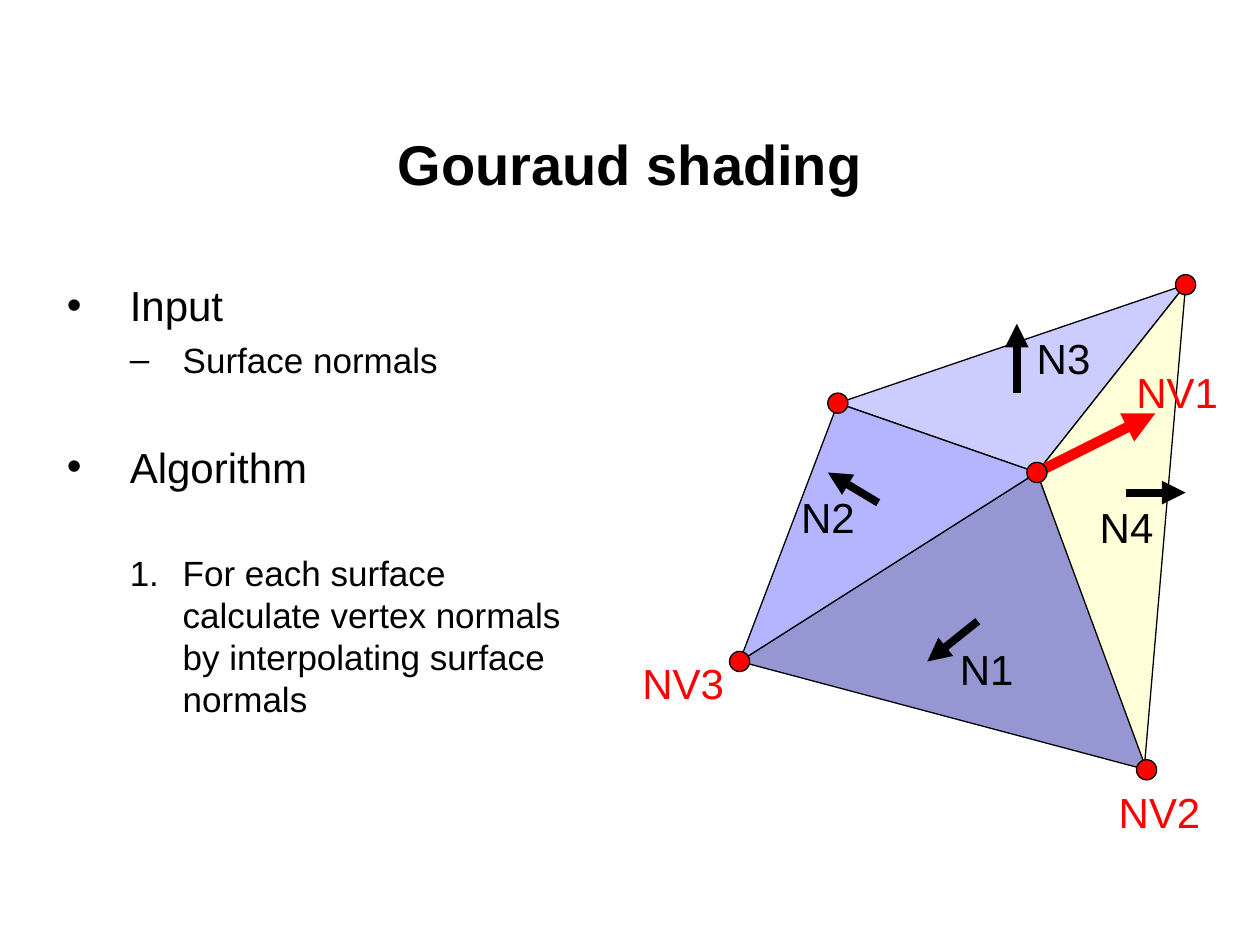
from lxml import etree
from pptx import Presentation
from pptx.dml.color import RGBColor
from pptx.enum.shapes import MSO_CONNECTOR as Line, MSO_SHAPE as Shape
from pptx.enum.text import MSO_ANCHOR as Anchor, MSO_AUTO_SIZE as Fit, PP_ALIGN as Align
from pptx.oxml.ns import qn
from pptx.util import Inches, Pt

BLACK, RED = "000000", "FF0000"
HUB, LEFT, TOP, LOW, FAR = (8.23, 3.75), (6.65, 3.2), (9.41, 2.26), (9.1, 6.11), (5.87, 5.25)
DOT = 0.16
FACES = [
    ("CCCCFF", (LEFT, TOP, HUB)),
    ("FFFFD9", (HUB, TOP, (9.08, 6.12))),
    ("9696D2", (HUB, LOW, FAR)),
    ("B4B4FF", (FAR, HUB, LEFT)),
]
NORMALS = [
    ("N1", (7.52, 5.06), (7.76, 4.93), (7.36, 5.25)),
    ("N2", (6.26, 3.85), (6.97, 3.99), (6.57, 3.75)),
    ("N3", (8.13, 2.59), (8.07, 3.12), (8.07, 2.57)),
    ("N4", (8.63, 3.93), (8.94, 3.91), (9.41, 3.91)),
]
CORNERS = [
    ("NV1", (8.92, 2.86), HUB),
    ("NV2", (8.78, 6.19), LOW),
    ("NV3", (5, 5.17), FAR),
]
ITEMS = [
    ("Input", 0, 0, "•"),
    ("Surface normals", 1, 5, "–"),
    ("Algorithm", 0, 34.5, "•"),
    ("For each surface calculate vertex normals by interpolating surface normals", 1, 34, None),
]


def color(code):
    """Turn a hex string into a colour."""
    return RGBColor.from_string(code)


def style(para, size, code=BLACK, bold=False):
    """Format the runs of a paragraph."""
    for run in para.runs:
        font = run.font
        font.name, font.size, font.bold = "Arial", Pt(size), bold
        font.color.rgb = color(code)


def place(shape, left, top, width, height):
    """Move and size a shape."""
    shape.left, shape.top = Inches(left), Inches(top)
    shape.width, shape.height = Inches(width), Inches(height)


def paint(shape, fill):
    """Fill a shape and give it a thin black outline."""
    shape.shadow.inherit = False
    shape.fill.solid()
    shape.fill.fore_color.rgb = color(fill)
    shape.line.color.rgb = color(BLACK)
    shape.line.width = Pt(0.75)


def add_title(slide, text):
    """Fill the title placeholder."""
    title = slide.shapes.title
    place(title, 0.75, 0.67, 8.5, 1.25)
    frame = title.text_frame
    frame.text = text
    frame.auto_size, frame.vertical_anchor = Fit.NONE, Anchor.MIDDLE
    para = frame.paragraphs[0]
    para.alignment = Align.CENTER
    style(para, 32, bold=True)


def add_list(slide, items):
    """Fill the body placeholder with bulleted and numbered items."""
    body = slide.placeholders[1]
    place(body, 0.43, 2.17, 4.33, 4.5)
    frame = body.text_frame
    frame.text = "\n".join(item[0] for item in items)
    frame.auto_size = Fit.NONE
    for para, (_, level, gap, mark) in zip(frame.paragraphs, items):
        para.level, para.space_before = level, Pt(gap)
        props = para._p.get_or_add_pPr()
        margin, hang = ((0.5, 0.5), (0.92, 0.42))[level]
        props.set("marL", str(Inches(margin)))
        props.set("indent", str(-Inches(hang)))
        if mark:
            etree.SubElement(props, qn("a:buChar"), char=mark)
        else:
            etree.SubElement(props, qn("a:buAutoNum"), type="arabicPeriod")
        style(para, (24, 20)[level])


def add_face(shapes, fill, points):
    """Draw one filled triangle."""
    first, *rest = [(Inches(x), Inches(y)) for x, y in points]
    path = shapes.build_freeform(*first)
    path.add_line_segments(rest, close=True)
    paint(path.convert_to_shape(), fill)


def add_arrow(shapes, start, end, code, width):
    """Draw a normal vector."""
    ends = [Inches(value) for value in (*start, *end)]
    arrow = shapes.add_connector(Line.STRAIGHT, *ends)
    arrow.line.color.rgb = color(code)
    arrow.line.width = Pt(width)
    etree.SubElement(arrow.line._get_or_add_ln(), qn("a:tailEnd"), type="triangle")
    etree.SubElement(arrow._element.spPr, qn("a:effectLst"))


def add_label(shapes, text, spot, width, code):
    """Write a vector name."""
    box = shapes.add_textbox(Inches(spot[0]), Inches(spot[1]), Inches(width), Inches(0.5))
    frame = box.text_frame
    frame.text = text
    frame.word_wrap, frame.auto_size = False, Fit.SHAPE_TO_FIT_TEXT
    style(frame.paragraphs[0], 24, code)


def add_dot(shapes, point):
    """Mark a vertex."""
    left, top = (Inches(value - DOT / 2) for value in point)
    paint(shapes.add_shape(Shape.OVAL, left, top, Inches(DOT), Inches(DOT)), RED)


def main():
    """Build the slide."""
    deck = Presentation()
    deck.slide_width, deck.slide_height = Inches(10), Inches(7.5)
    slide = deck.slides.add_slide(deck.slide_layouts[1])
    shapes = slide.shapes
    add_title(slide, "Gouraud shading")
    add_list(slide, ITEMS)
    for fill, points in FACES:
        add_face(shapes, fill, points)
    for _, _, start, end in NORMALS:
        add_arrow(shapes, start, end, BLACK, 4.5)
    for text, spot, _, _ in NORMALS:
        add_label(shapes, text, spot, 0.63, BLACK)
    for text, spot, point in CORNERS:
        group = shapes.add_group_shape().shapes
        if point == HUB:
            add_arrow(group, HUB, (9.17, 3.28), RED, 6)
        add_label(group, text, spot, 0.85, RED)
        add_dot(group, point)
    group = shapes.add_group_shape().shapes
    for point in (LEFT, TOP):
        add_dot(group, point)
    deck.save("out.pptx")


if __name__ == "__main__":
    main()
